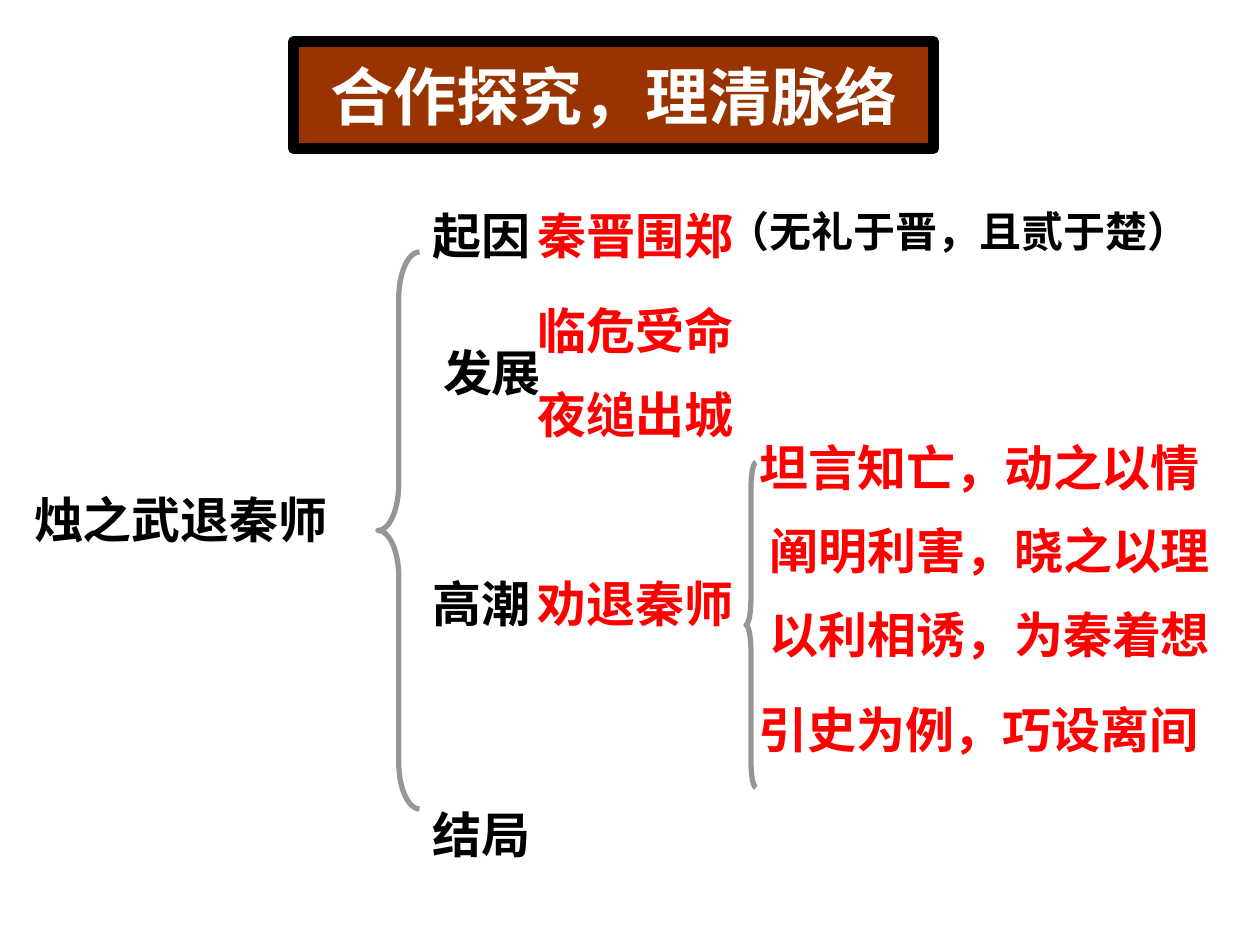
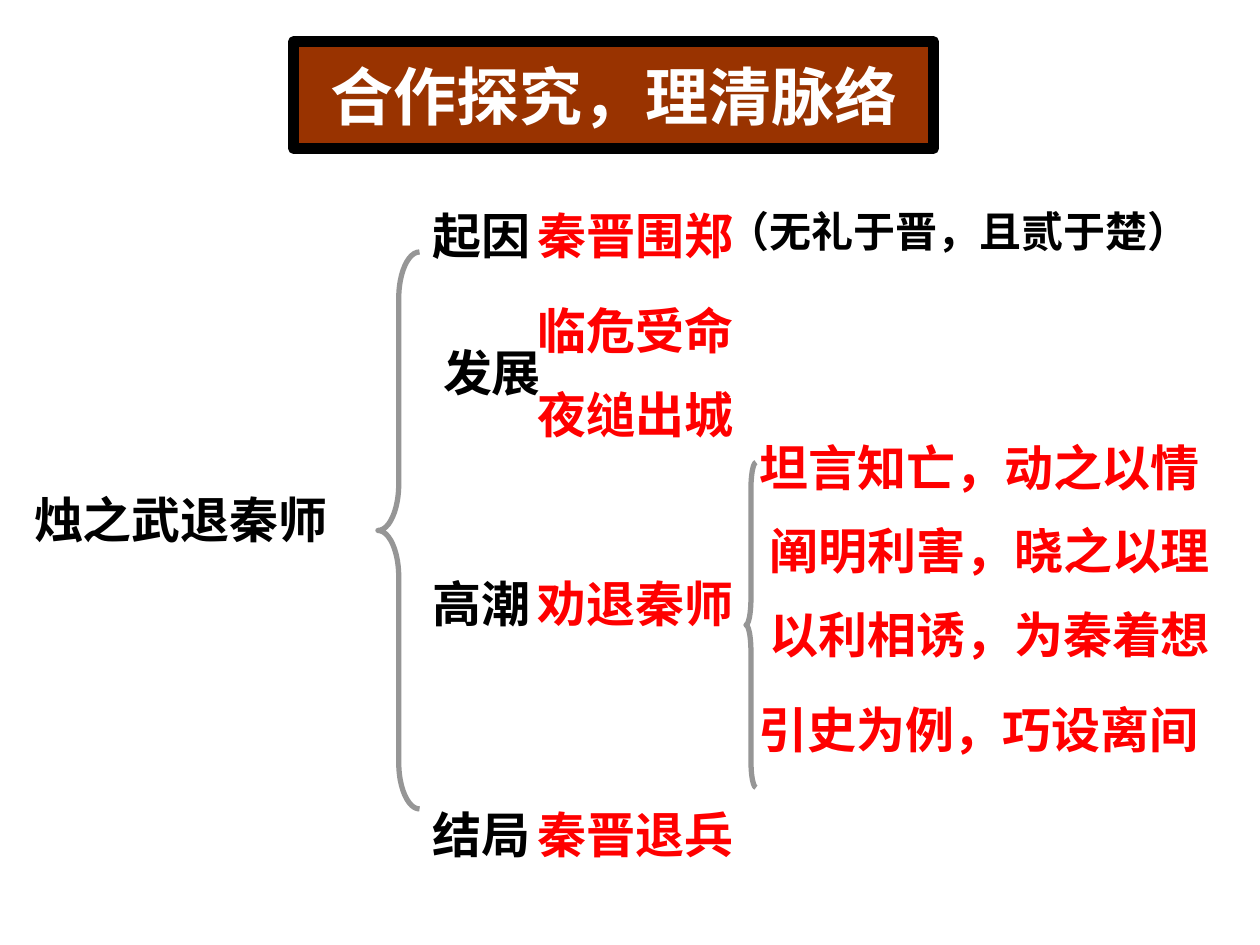
from dataclasses import dataclass

from lxml import etree
from pptx import Presentation
from pptx.dml.color import RGBColor
from pptx.enum import shapes, text
from pptx.oxml import ns
from pptx.util import Inches, Pt


@dataclass(frozen=True)
class Theme:
    black: RGBColor = RGBColor(0, 0, 0)
    white: RGBColor = RGBColor(255, 255, 255)
    red: RGBColor = RGBColor(255, 0, 0)
    brown: RGBColor = RGBColor(0x99, 0x33, 0)
    gray: RGBColor = RGBColor(0x96, 0x96, 0x96)
    heading_font: str = "Noto Sans CJK SC"
    text_font: str = "Arial"
    east_asian_font: str = "Noto Sans CJK SC"
    title_size: int = 36
    text_size: int = 28
    note_size: int = 24


theme = Theme()
CENTER, LEFT = text.PP_ALIGN.CENTER, text.PP_ALIGN.LEFT


def place(box, left, top, width, height):
    box.left, box.top = Inches(left), Inches(top)
    box.width, box.height = Inches(width), Inches(height)


def write(box, words, size, color, font_name, align=CENTER, wrap=False):
    """Fill a box with one bold, vertically centred paragraph."""
    frame = box.text_frame
    frame.auto_size = text.MSO_AUTO_SIZE.NONE
    frame.word_wrap = wrap
    frame.vertical_anchor = text.MSO_ANCHOR.MIDDLE
    para = frame.paragraphs[0]
    para.alignment = align
    para.space_before = Pt(0)
    span = para.add_run()
    span.text = words
    span.font.size = Pt(size)
    span.font.bold = True
    span.font.color.rgb = color
    span.font.name = font_name
    east_asian = etree.SubElement(span.font._element, ns.qn("a:ea"))
    east_asian.set("typeface", theme.east_asian_font)


# Plot stages: words, left, top
stages = [("起因", 3.34, 1.58), ("发展", 3.42, 2.67),
          ("高潮", 3.34, 4.5), ("结局", 3.34, 6.33)]
# Events beside the stages: words, top
events = [("秦晋围郑", 1.58), ("临危受命", 2.33),
          ("夜缒出城", 3), ("劝退秦师", 4.5)]
ending = ("秦晋退兵", 6.33)
# Steps of the persuasion: words, left, top
arguments = [("坦言知亡，动之以情", 5.93, 3.42), ("阐明利害，晓之以理", 6.01, 4.08),
             ("以利相诱，为秦着想", 6.01, 4.75), ("引史为例，巧设离间", 5.92, 5.5)]
# Braces: left, top, width, height, height of one curve
braces = [(3, 2, 0.33, 4.42, 0.37), (5.92, 3.67, 0.08, 2.58, 0.21)]

deck = Presentation()
deck.slide_width, deck.slide_height = Inches(10), Inches(7.5)

for page_events in (events, events + [ending]):
    page = deck.slides.add_slide(deck.slide_layouts[1])

    title = page.shapes.title
    place(title, 2.33, 0.33, 5.08, 0.85)
    title.fill.solid()
    title.fill.fore_color.rgb = theme.brown
    title.line.color.rgb = theme.black
    title.line.width = Pt(6)
    write(title, "合作探究，理清脉络", theme.title_size, theme.white,
          theme.heading_font, wrap=True)

    topic = page.placeholders[1]
    place(topic, 0, 3.83, 3.17, 0.64)
    topic.text_frame.margin_bottom = Inches(0.12)
    properties = topic.text_frame.paragraphs[0]._p.get_or_add_pPr()
    properties.set("marL", str(Inches(0.17)))
    properties.set("indent", "0")
    etree.SubElement(properties, ns.qn("a:buNone"))
    write(topic, "烛之武退秦师", theme.text_size, theme.black,
          theme.heading_font, LEFT, wrap=True)

    for left, top, width, height, curve in braces:
        brace = page.shapes.add_shape(
            shapes.MSO_SHAPE.LEFT_BRACE,
            Inches(left), Inches(top), Inches(width), Inches(height))
        brace.adjustments[0] = curve / width
        brace.shadow.inherit = False
        brace.fill.background()
        brace.line.color.rgb = theme.gray
        brace.line.width = Pt(3)

    labels = [(words, left, top, 0.97, theme.black) for words, left, top in stages]
    labels += [(words, 4.17, top, 1.75, theme.red) for words, top in page_events]
    labels += [(words, left, top, 3.69, theme.red) for words, left, top in arguments]
    for words, left, top, width, color in labels:
        label = page.shapes.add_textbox(
            Inches(left), Inches(top), Inches(width), Inches(0.57))
        write(label, words, theme.text_size, color, theme.text_font)

    note = page.shapes.add_textbox(
        Inches(5.68), Inches(1.58), Inches(3.86), Inches(0.5))
    write(note, "（无礼于晋，且贰于楚）", theme.note_size, theme.black, theme.text_font)

deck.save("out.pptx")
